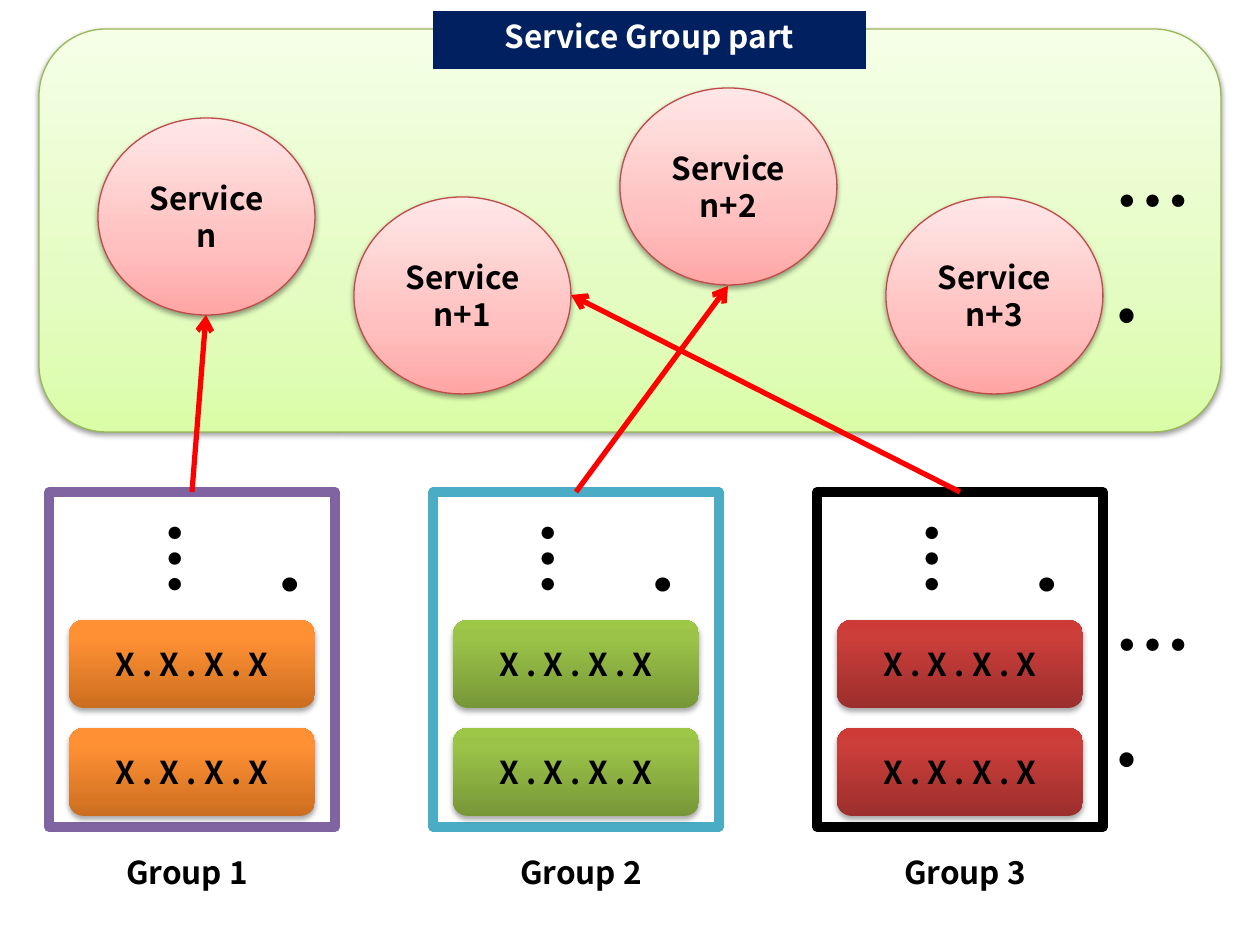
from lxml.etree import SubElement
from pptx import Presentation
from pptx.dml.color import RGBColor
from pptx.enum.shapes import MSO_CONNECTOR, MSO_SHAPE
from pptx.enum.text import MSO_ANCHOR, MSO_AUTO_SIZE, PP_ALIGN
from pptx.oxml import parse_xml
from pptx.oxml.ns import nsdecls, qn
from pptx.util import Emu, Pt

PX = 914400 // 126
THEME = {
    "font": "Noto Sans CJK KR", "body": 18, "dots": 44,
    "ink": "000000", "light": "FFFFFF", "banner": "002060", "arrow": "FF0000",
    "panel": [(0, "DAFDA7"), (35, "E4FCC2"), (100, "F5FFE7")], "panel_edge": "98B955",
    "service": [(0, "FFA6A5"), (35, "FFC0BF"), (100, "FFE7E7")], "service_edge": "BF4C48",
    "groups": [
        ("8064A2", [(0, "CC6E20"), (80, "FF9034"), (100, "FF9136")]),
        ("4BACC6", [(0, "779737"), (80, "9BC348"), (100, "9DC746")]),
        ("000000", [(0, "9C2F2D"), (80, "CB3E3A"), (100, "CE3B37")]),
    ],
}


def add_block(kind, bounds, fill, edge=None, width=0.75, shadow=None):
    """Add a shape; fill is a colour or gradient stops, shadow is (opacity, distance)."""
    block = page.shapes.add_shape(kind, *[Emu(n * PX) for n in bounds])
    block.shadow.inherit = False
    if isinstance(fill, str):
        block.fill.solid()
        block.fill.fore_color.rgb = RGBColor.from_string(fill)
    else:
        block.fill.gradient()
        block.fill.gradient_angle = 90
        stops = block._element.spPr.find(".//" + qn("a:gsLst"))
        for stop in list(stops):
            stops.remove(stop)
        for place, colour in fill:
            stop = SubElement(stops, qn("a:gs"), pos=str(place * 1000))
            SubElement(stop, qn("a:srgbClr"), val=colour)
    if edge:
        block.line.color.rgb = RGBColor.from_string(edge)
        block.line.width = Pt(width)
    else:
        block.line.fill.background()
    if shadow:
        opacity, distance = shadow
        effects = block._element.spPr.find(qn("a:effectLst"))
        effects.append(parse_xml(
            f'<a:outerShdw {nsdecls("a")} blurRad="{Pt(3.1)}" dist="{Pt(distance)}" '
            f'dir="5400000" rotWithShape="0"><a:srgbClr val="000000">'
            f'<a:alpha val="{opacity * 1000}"/></a:srgbClr></a:outerShdw>'))
    return block


def write_text(box, text, size="body", colour="ink", align=PP_ALIGN.CENTER, **frame_format):
    for name, value in {"word_wrap": True, **frame_format}.items():
        setattr(box.text_frame, name, value)
    para = box.text_frame.paragraphs[0]
    para.alignment = align
    span = para.add_run()
    span.text = text
    for name, value in {"name": THEME["font"], "size": Pt(THEME[size]), "bold": True}.items():
        setattr(span.font, name, value)
    span.font.color.rgb = RGBColor.from_string(THEME[colour])
    SubElement(span._r.get_or_add_rPr(), qn("a:ea"), typeface=THEME["font"])


deck = Presentation()
deck.slide_width, deck.slide_height = Emu(1260 * PX), Emu(945 * PX)
page = deck.slides.add_slide(deck.slide_layouts[6])

# Service panel and its banner
add_block(MSO_SHAPE.ROUNDED_RECTANGLE, (39, 29, 1182, 403), THEME["panel"],
          THEME["panel_edge"], shadow=(38, 1.6))
banner = add_block(MSO_SHAPE.RECTANGLE, (433, 11, 433, 58), THEME["banner"])
write_text(banner, "Service Group part", colour="light", vertical_anchor=MSO_ANCHOR.TOP)

# Services
services = [("Service n", 98, 118), ("Service n+1", 354, 197),
            ("Service n+2", 620, 88), ("Service n+3", 886, 197)]
for name, left, top in services:
    circle = add_block(MSO_SHAPE.OVAL, (left, top, 217, 197), THEME["service"],
                       THEME["service_edge"], shadow=(38, 1.6))
    write_text(circle, name, vertical_anchor=MSO_ANCHOR.MIDDLE)

# Groups, each with two address cards
frames = []
for column, (edge, card_fill) in enumerate(THEME["groups"]):
    left = 49 + 384 * column
    frames.append(add_block(MSO_SHAPE.RECTANGLE, (left, 492, 286, 335),
                            THEME["light"], edge, 5.5))
    for top in (620, 728):
        card = add_block(MSO_SHAPE.ROUNDED_RECTANGLE, (left + 20, top, 246, 88),
                         card_fill, shadow=(35, 1.8))
        write_text(card, "X . X . X . X", vertical_anchor=MSO_ANCHOR.MIDDLE)

# Group labels
for number, left in enumerate((59, 453, 837), start=1):
    label = page.shapes.add_textbox(*[Emu(n * PX) for n in (left, 847, 256, 50)])
    write_text(label, f"Group {number}", auto_size=MSO_AUTO_SIZE.SHAPE_TO_FIT_TEXT)

# Continuation dots: upright beside the rows, turned inside the groups
for left, top, turn in [(1102, 147, 0), (1102, 591, 0),
                        (125, 508, 270), (498, 508, 270), (882, 508, 270)]:
    dots = page.shapes.add_textbox(*[Emu(n * PX) for n in (left, top, 98, 106)])
    dots.rotation = turn
    write_text(dots, "….", size="dots", align=PP_ALIGN.LEFT,
               auto_size=MSO_AUTO_SIZE.SHAPE_TO_FIT_TEXT)

# Arrows from the groups to their services
for frame, (x, y) in zip(frames, [(206, 315), (728, 286), (571, 295)]):
    arrow = page.shapes.add_connector(MSO_CONNECTOR.STRAIGHT, 0, 0, Emu(x * PX), Emu(y * PX))
    arrow.begin_connect(frame, 0)
    arrow.line.color.rgb = RGBColor.from_string(THEME["arrow"])
    arrow.line.width = Pt(3)
    SubElement(arrow.line._get_or_add_ln(), qn("a:tailEnd"), type="arrow")
    SubElement(arrow._element.spPr, qn("a:effectLst"))

deck.save("out.pptx")
